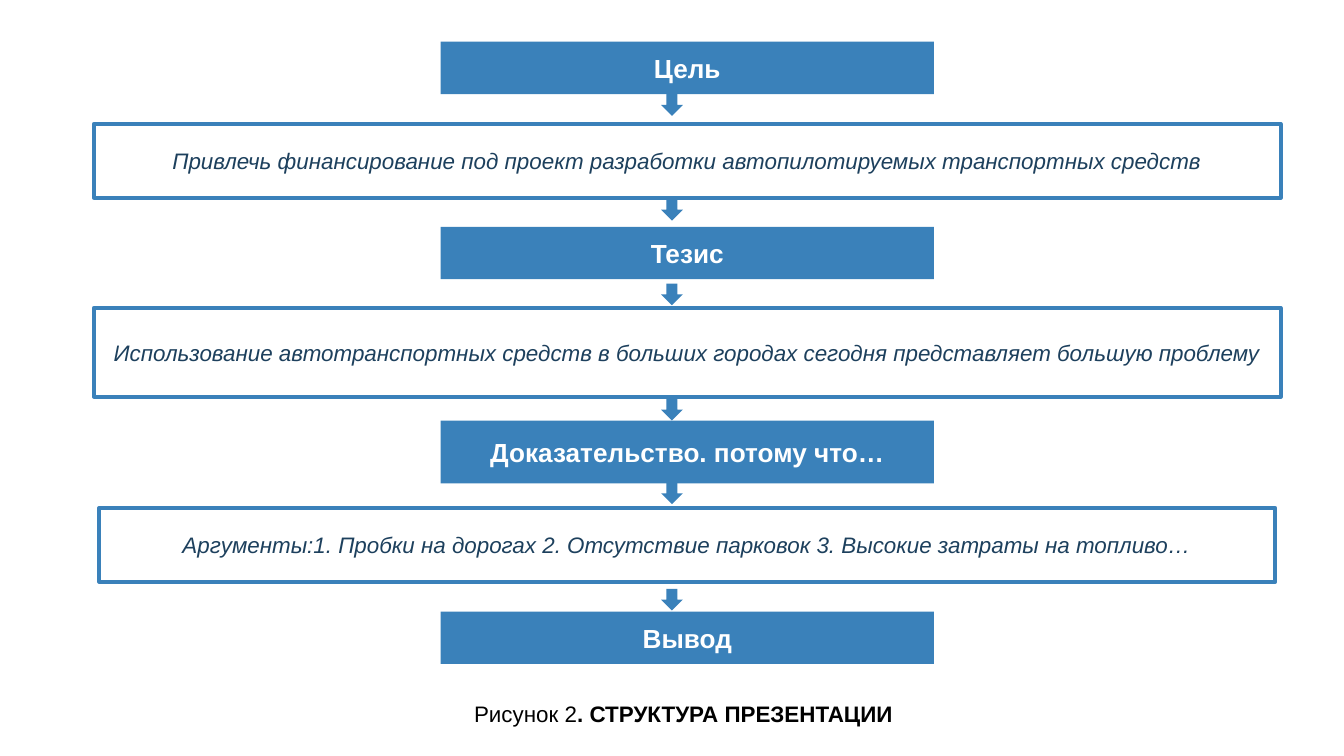
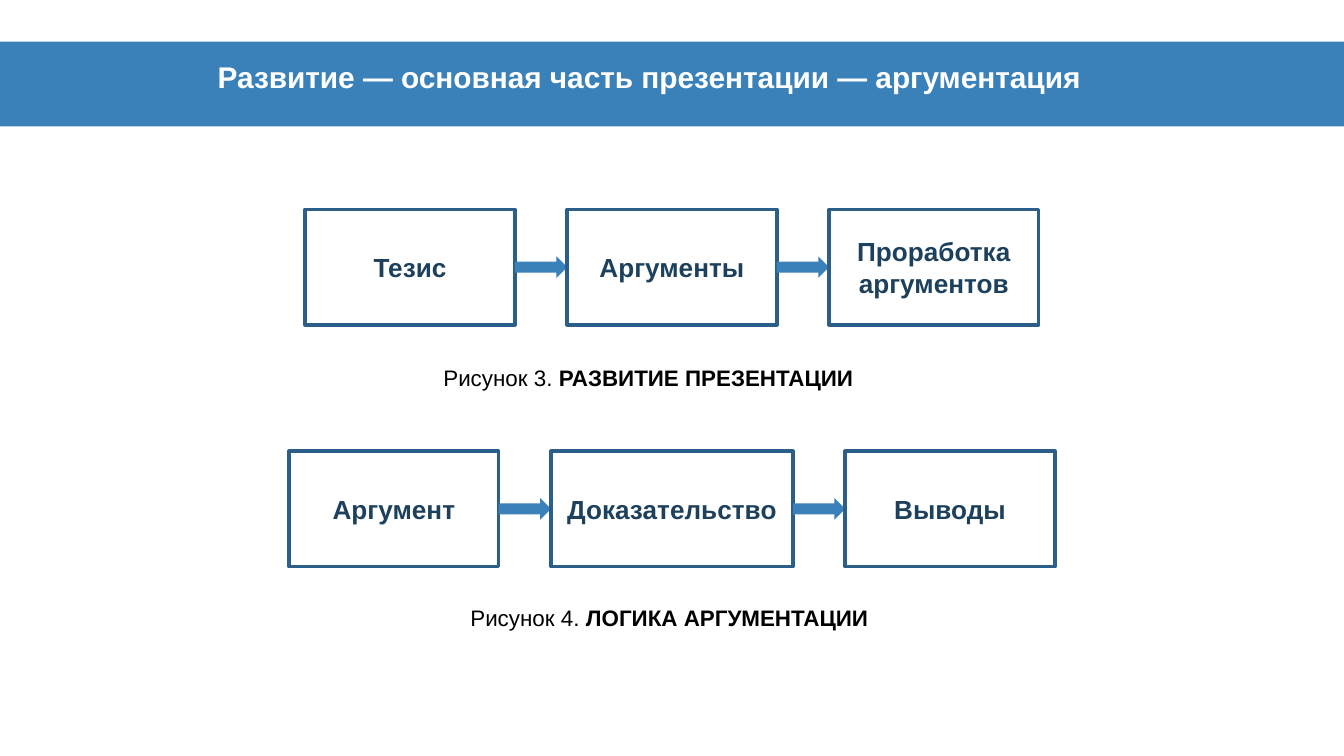
import pptx
import pptx.util
import pptx.dml.color
import pptx.enum.shapes
import pptx.enum.text
from dataclasses import dataclass

Cm = pptx.util.Cm
Kind = pptx.enum.shapes.MSO_SHAPE
Align = pptx.enum.text.PP_ALIGN
Anchor = pptx.enum.text.MSO_ANCHOR
Fit = pptx.enum.text.MSO_AUTO_SIZE


@dataclass(frozen=True)
class Theme:
    font: str = "Arial"
    blue: str = "3A81BA"
    edge: str = "2B5F8A"
    navy: str = "1D405D"
    white: str = "FFFFFF"
    black: str = "000000"
    title: int = 16
    head: int = 14
    note: int = 12
    line: int = 2


theme = Theme()

WIDE, HIGH = 25.4, 14.29
MID = WIDE / 2
AXIS = 12.99
TOP = 0.79
HEAD = 9.32
TIP = 0.41
BOX = 3.96
TALL = 2.18
GAP = 0.99

steps = [
    ("Цель", "head", 0.79, 0.99, HEAD),
    ("Привлечь финансирование под проект разработки автопилотируемых "
     "транспортных средств", "note", 2.34, 1.4, 22.43),
    ("Тезис", "head", 4.29, 0.99, HEAD),
    ("Использование автотранспортных средств в больших городах сегодня "
     "представляет большую проблему", "note", 5.82, 1.68, 22.43),
    ("Доказательство. потому что…", "head", 7.95, 1.19, HEAD),
    ("Аргументы:1. Пробки на дорогах 2. Отсутствие парковок "
     "3. Высокие затраты на топливо…", "note", 9.6, 1.4, 22.23),
    ("Вывод", "head", 11.56, 0.99, HEAD),
]
drops = [1.78, 3.76, 5.36, 7.54, 9.12, 11.13]
label = ("Рисунок 2", ". СТРУКТУРА ПРЕЗЕНТАЦИИ", 8.71, 13.11, 8.59)

title = "Развитие — основная часть презентации — аргументация"
flows = [
    (3.96, [("Тезис", BOX), ("Аргументы", BOX), ("Проработка аргументов", BOX)],
     ("Рисунок 3. ", "РАЗВИТИЕ ПРЕЗЕНТАЦИИ", 8.13, 6.76, 8.41)),
    (8.53, [("Аргумент", BOX), ("Доказательство", 4.57), ("Выводы", BOX)],
     ("Рисунок 4. ", "ЛОГИКА АРГУМЕНТАЦИИ", 8.64, 11.3, 8.13)),
]


def paint(code):
    return pptx.dml.color.RGBColor.from_string(code)


def style(run, size, color, bold=False, slant=False):
    font = run.font
    font.name = theme.font
    font.size = pptx.util.Pt(size)
    font.color.rgb = paint(color)
    font.bold = bold
    font.italic = slant


def block(host, kind, x, y, w, h, fill=None, edge=None):
    shape = host.add_shape(kind, Cm(x), Cm(y), Cm(w), Cm(h))
    shape.shadow.inherit = False
    if fill:
        shape.fill.solid()
        shape.fill.fore_color.rgb = paint(fill)
    else:
        shape.fill.background()
    if edge:
        shape.line.color.rgb = paint(edge)
        shape.line.width = pptx.util.Pt(theme.line)
    else:
        shape.line.fill.background()
    return shape


def write(shape, text, size, color, bold=False, slant=False):
    shape.text_frame.text = text
    para = shape.text_frame.paragraphs[0]
    para.alignment = Align.CENTER
    style(para.runs[0], size, color, bold, slant)


def caption(host, lead, name, x, y, w):
    frame = host.add_textbox(Cm(x), Cm(y), Cm(w), Cm(0.77)).text_frame
    frame.word_wrap = False
    frame.auto_size = Fit.SHAPE_TO_FIT_TEXT
    para = frame.paragraphs[0]
    for text, bold in ((lead, False), (name, True)):
        run = para.add_run()
        run.text = text
        style(run, theme.note, theme.black, bold)


def ladder(deck):
    host = deck.slides.add_slide(deck.slide_layouts[6]).shapes
    for text, role, y, h, w in steps:
        x = AXIS - w / 2
        if role == "head":
            shape = block(host, Kind.RECTANGLE, x, y, w, h, fill=theme.blue)
            write(shape, text, theme.head, theme.white, bold=True)
        else:
            shape = block(host, Kind.RECTANGLE, x, y, w, h, edge=theme.blue)
            write(shape, text, theme.note, theme.navy, slant=True)
    caption(host, *label)
    for y in drops:
        block(host, Kind.DOWN_ARROW, MID - TIP / 2, y, TIP, TIP, fill=theme.blue)


def header(slide):
    band = block(slide.shapes, Kind.RECTANGLE, 0, TOP, WIDE, 1.6, fill=theme.blue)
    head = slide.shapes.title
    band._element.addnext(head._element)
    head.left, head.top, head.width, head.height = map(Cm, (3.86, 0.99, 17.65, 0.94))
    frame = head.text_frame
    frame.text = title
    frame.word_wrap = True
    frame.auto_size = Fit.SHAPE_TO_FIT_TEXT
    frame.vertical_anchor = Anchor.TOP
    para = frame.paragraphs[0]
    para.alignment = Align.LEFT
    style(para.runs[0], theme.title, theme.white, bold=True)


def chain(slide, y, cells, note):
    host = slide.shapes.add_group_shape().shapes
    x = MID - (sum(w for _, w in cells) + GAP * (len(cells) - 1)) / 2
    for spot, (text, w) in enumerate(cells):
        if spot:
            block(host, Kind.RIGHT_ARROW, x - GAP, y + (TALL - TIP) / 2,
                  GAP, TIP, fill=theme.blue)
        shape = block(host, Kind.RECTANGLE, x, y, w, TALL, edge=theme.edge)
        write(shape, text, theme.head, theme.navy, bold=True)
        x += w + GAP
    caption(host, *note)


def main():
    deck = pptx.Presentation()
    deck.slide_width, deck.slide_height = Cm(WIDE), Cm(HIGH)
    ladder(deck)
    slide = deck.slides.add_slide(deck.slide_layouts[5])
    header(slide)
    for flow in flows:
        chain(slide, *flow)
    deck.save("out.pptx")


if __name__ == "__main__":
    main()
